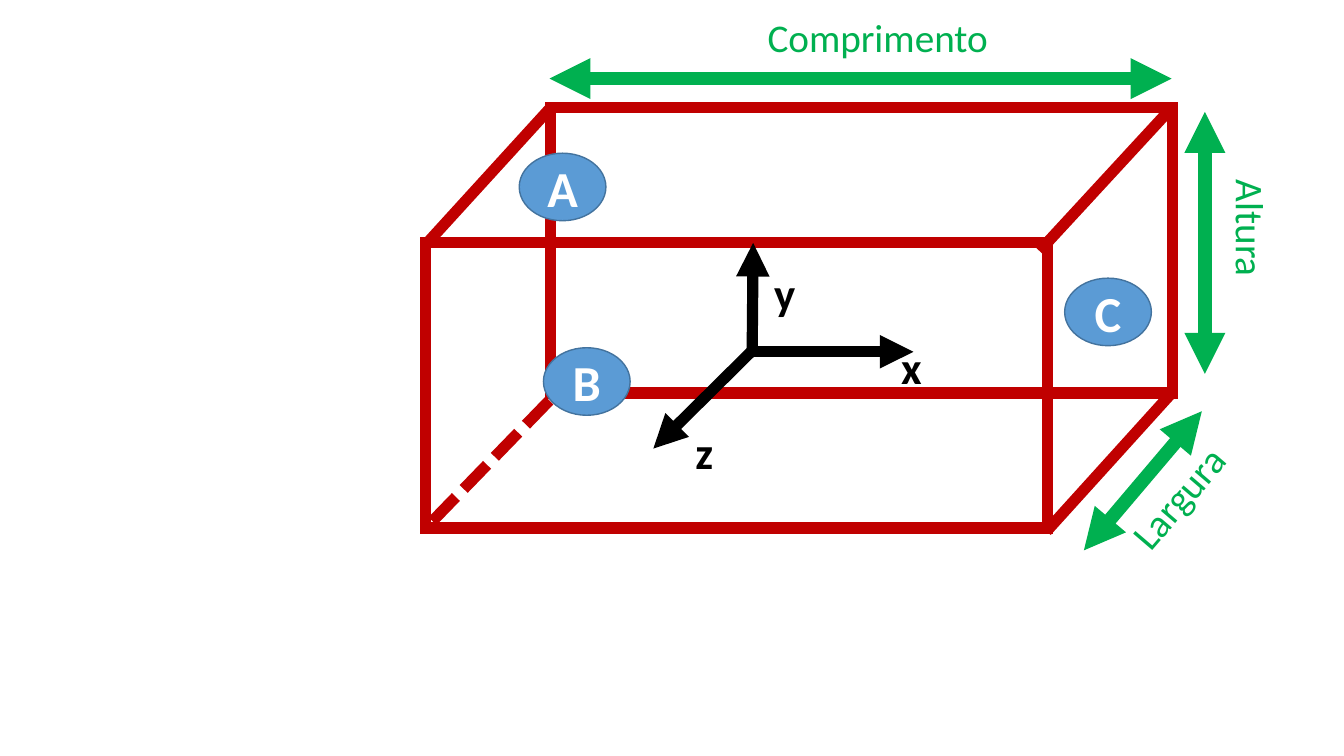
import dataclasses

import lxml.etree
import pptx
import pptx.dml.color
import pptx.dml.line
import pptx.enum.dml
import pptx.enum.shapes
import pptx.enum.text
import pptx.oxml.ns
import pptx.shapes.base
import pptx.text.text
import pptx.util

Color = pptx.dml.color.RGBColor
Inches = pptx.util.Inches
Pt = pptx.util.Pt
Shape = pptx.enum.shapes.MSO_SHAPE
Align = pptx.enum.text.PP_ALIGN
Anchor = pptx.enum.text.MSO_ANCHOR

RED = Color(0xC0, 0x00, 0x00)
GREEN = Color(0x00, 0xB0, 0x50)
BLACK = Color(0x00, 0x00, 0x00)
WHITE = Color(0xFF, 0xFF, 0xFF)
BLUE = Color(0x5B, 0x9B, 0xD5)
NAVY = Color(0x43, 0x73, 0x9E)

FONT = "Calibri"
BOX_W, BOX_H = 6.17, 2.83
BALL_W, BALL_H = 0.86, 0.67


@dataclasses.dataclass(frozen=True)
class Edge:
    start: tuple[float, float]
    end: tuple[float, float]
    color: Color = RED
    width: float = 8
    dashed: bool = False
    heads: tuple[str, ...] = ()


@dataclasses.dataclass(frozen=True)
class Label:
    text: str
    left: float
    top: float
    width: float
    height: float
    size: float
    color: Color
    bold: bool = False
    align: Align | None = None
    turn: float = 0


@dataclasses.dataclass(frozen=True)
class Ball:
    text: str
    left: float
    top: float


def span(start: tuple[float, float], end: tuple[float, float]) -> Edge:
    return Edge(start, end, GREEN, 9.75, heads=("headEnd", "tailEnd"))


def axis(start: tuple[float, float], end: tuple[float, float]) -> Edge:
    return Edge(start, end, BLACK, heads=("tailEnd",))


def title(text: str, left: float, top: float, width: float, turn: float = 0) -> Label:
    return Label(text, left, top, width, 0.57, 28, GREEN, align=Align.CENTER, turn=turn)


def mark(text: str, left: float, top: float) -> Label:
    return Label(text, left, top, 0.5, 0.64, 32, BLACK, bold=True)


FACES = [(5.46, 1.07), (4.22, 2.41)]
EDGES = [
    Edge((4.22, 2.43), (5.46, 1.07)),
    Edge((10.31, 2.49), (11.62, 1.07)),
    Edge((10.38, 5.27), (11.62, 3.9)),
    Edge((10.39, 3.9), (5.46, 3.9), dashed=True),
    Edge((4.29, 5.17), (5.53, 3.89), dashed=True),
    Edge((5.46, 3.9), (5.46, 2.35), dashed=True),
]
SPANS = [
    (span((5.45, 0.78), (11.62, 0.78)), title("Comprimento", 5.62, 0.08, BOX_W)),
    (span((10.75, 5.46), (11.92, 4.08)), title("Largura", 10.8, 4.65, 1.76, 310.6)),
    (span((11.95, 3.71), (11.95, 1.11)), title("Altura", 11.53, 1.98, 1.76, 90)),
]
AXES = [
    axis((7.46, 3.52), (7.47, 2.41)),
    axis((7.43, 3.49), (9.06, 3.49)),
    axis((7.47, 3.47), (6.48, 4.45)),
]
MARKS = [mark("x", 8.84, 3.32), mark("y", 7.58, 2.59), mark("z", 6.8, 4.16)]
BALLS = [Ball("A", 5.15, 1.52), Ball("B", 5.39, 3.45), Ball("C", 10.56, 2.76)]

deck = pptx.Presentation()
deck.slide_width = Inches(13.33)
deck.slide_height = Inches(7.5)
slide = deck.slides.add_slide(deck.slide_layouts[6])


def add_part(parent: lxml.etree.ElementBase, tag: str, **attrs: str) -> None:
    part = lxml.etree.SubElement(parent, pptx.oxml.ns.qn(tag))
    for name, value in attrs.items():
        part.set(name, value)


def set_line(line: pptx.dml.line.LineFormat, color: Color, width: float) -> None:
    line.color.rgb = color
    line.width = Pt(width)


def set_text(frame: pptx.text.text.TextFrame, text: str, size: float,
             color: Color, bold: bool, align: Align | None) -> None:
    para = frame.paragraphs[0]
    para.alignment = align
    run = para.add_run()
    run.text = text
    run.font.name = FONT
    run.font.size = Pt(size)
    run.font.bold = bold
    run.font.color.rgb = color


def add_form(kind: Shape, left: float, top: float, width: float,
             height: float) -> pptx.shapes.base.BaseShape:
    form = slide.shapes.add_shape(
        kind, Inches(left), Inches(top), Inches(width), Inches(height))
    form.shadow.inherit = False
    return form


def add_face(left: float, top: float) -> None:
    face = add_form(Shape.RECTANGLE, left, top, BOX_W, BOX_H)
    face.fill.background()
    set_line(face.line, RED, 8)
    add_part(face.line._get_or_add_ln(), "a:miter", lim="800000")


def add_edge(edge: Edge) -> None:
    link = slide.shapes.add_connector(
        pptx.enum.shapes.MSO_CONNECTOR.STRAIGHT,
        *(Inches(value) for value in edge.start + edge.end))
    set_line(link.line, edge.color, edge.width)
    if edge.dashed:
        link.line.dash_style = pptx.enum.dml.MSO_LINE.SQUARE_DOT
    outline = link.line._get_or_add_ln()
    add_part(outline, "a:miter", lim="800000")
    for head in edge.heads:
        add_part(outline, f"a:{head}", type="triangle")
    add_part(link._element.spPr, "a:effectLst")


def add_label(label: Label) -> None:
    box = slide.shapes.add_textbox(
        Inches(label.left), Inches(label.top), Inches(label.width), Inches(label.height))
    box.rotation = label.turn
    frame = box.text_frame
    frame.word_wrap = True
    frame.auto_size = pptx.enum.text.MSO_AUTO_SIZE.SHAPE_TO_FIT_TEXT
    set_text(frame, label.text, label.size, label.color, label.bold, label.align)


def add_ball(ball: Ball) -> None:
    form = add_form(Shape.OVAL, ball.left, ball.top, BALL_W, BALL_H)
    form.fill.solid()
    form.fill.fore_color.rgb = BLUE
    set_line(form.line, NAVY, 1)
    form.text_frame.vertical_anchor = Anchor.MIDDLE
    set_text(form.text_frame, ball.text, 36, WHITE, True, Align.CENTER)


for left, top in FACES:
    add_face(left, top)
for edge in EDGES:
    add_edge(edge)
for edge, label in SPANS:
    add_edge(edge)
    add_label(label)
for edge in AXES:
    add_edge(edge)
for label in MARKS:
    add_label(label)
for ball in BALLS:
    add_ball(ball)

deck.save("out.pptx")
